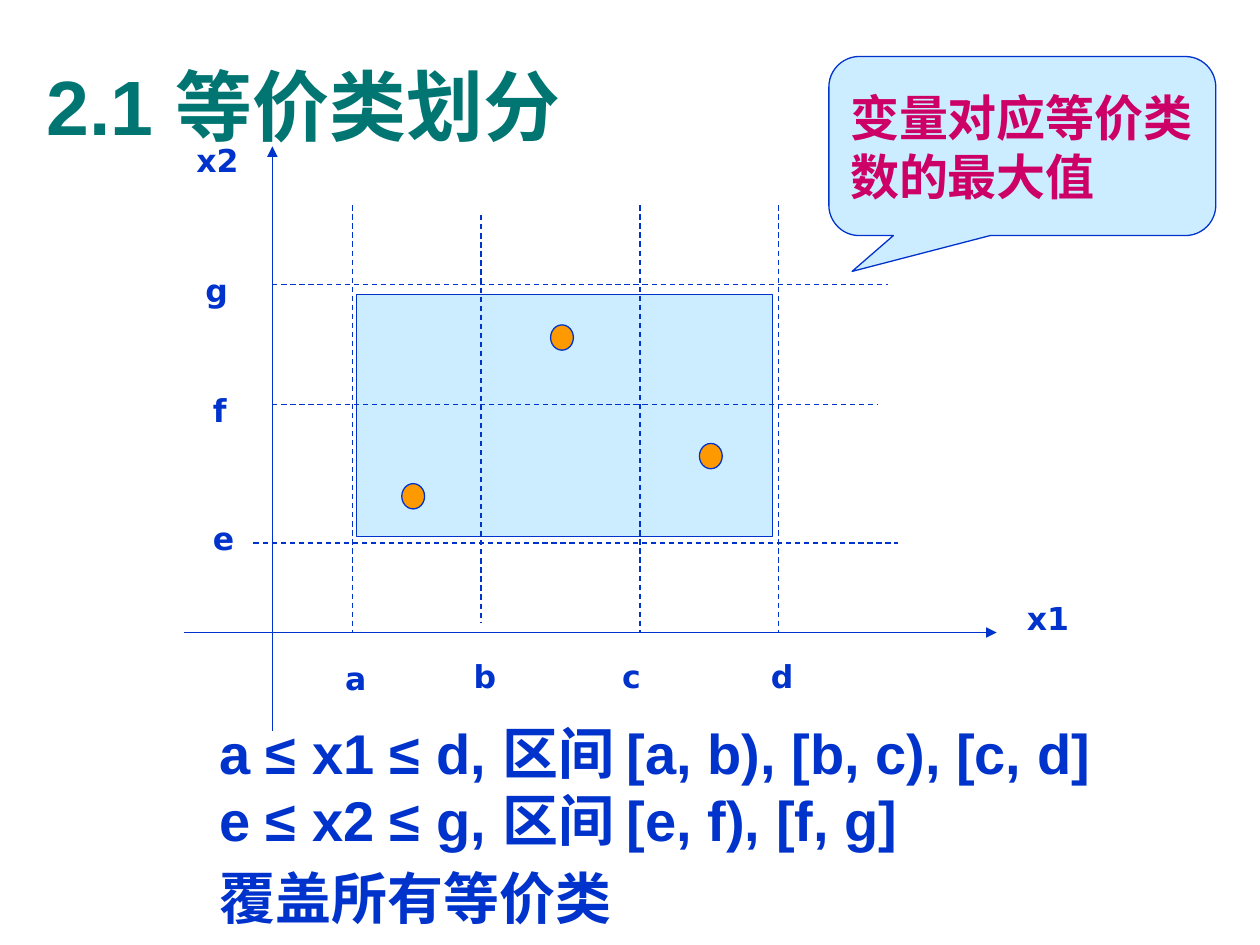
from lxml import etree
from pptx import Presentation
from pptx import util as u
from pptx.dml.color import RGBColor
from pptx.enum import dml, shapes, text
from pptx.oxml.ns import qn

BLUE = RGBColor(0x00, 0x33, 0xCC)
PALE_BLUE = RGBColor(0xCC, 0xEC, 0xFF)
ORANGE = RGBColor(0xFF, 0x99, 0x00)
TEAL = RGBColor(0x00, 0x75, 0x72)
MAGENTA = RGBColor(0xCC, 0x00, 0x66)

presentation = Presentation()
presentation.slide_width = u.Cm(25.4)
presentation.slide_height = u.Cm(19.05)
slide = presentation.slides.add_slide(presentation.slide_layouts[6])


def add_line(x1, y1, x2, y2, arrow=False):
    connector = slide.shapes.add_connector(
        shapes.MSO_CONNECTOR.STRAIGHT, u.Cm(x1), u.Cm(y1), u.Cm(x2), u.Cm(y2))
    connector.line.color.rgb = BLUE
    connector.line.width = u.Pt(0.75)
    if arrow:
        etree.SubElement(connector.line._ln, qn("a:tailEnd"), type="triangle")
    else:
        connector.line.dash_style = dml.MSO_LINE.DASH
    properties = connector._element.spPr
    etree.SubElement(properties, qn("a:effectLst"))


def write(shape, lines, size, color, font="Arial", wrap=True):
    frame = shape.text_frame
    frame.word_wrap = wrap
    for index, line in enumerate(lines):
        paragraph = frame.add_paragraph() if index else frame.paragraphs[0]
        paragraph.alignment = text.PP_ALIGN.LEFT
        run = paragraph.add_run()
        run.text = line
        run.font.name = font
        run.font.size = u.Pt(size)
        run.font.bold = True
        run.font.color.rgb = color
    return frame


add_line(3.71, 12.75, 20.09, 12.75, arrow=True)
add_line(5.49, 14.73, 5.49, 2.95, arrow=True)

for x in (7.11, 15.7):
    add_line(x, 4.14, x, 12.75)
for left, right, y in ((5.11, 18.11, 10.95), (5.49, 17.91, 5.74)):
    add_line(left, y, right, y)

RECTANGLE = shapes.MSO_SHAPE.RECTANGLE
OVAL = shapes.MSO_SHAPE.OVAL
CALLOUT = shapes.MSO_SHAPE.ROUNDED_RECTANGULAR_CALLOUT
filled_shapes = [
    (RECTANGLE, 7.19, 5.94, 8.38, 4.88, PALE_BLUE),
    (OVAL, 11.1, 6.55, 0.46, 0.51, ORANGE),
    (OVAL, 8.1, 9.75, 0.46, 0.51, ORANGE),
    (OVAL, 14.1, 8.94, 0.46, 0.51, ORANGE),
    (CALLOUT, 16.71, 1.14, 7.8, 3.61, PALE_BLUE),
]
for kind, left, top, width, height, color in filled_shapes:
    shape = slide.shapes.add_shape(
        kind, u.Cm(left), u.Cm(top), u.Cm(width), u.Cm(height))
    shape.shadow.inherit = False
    shape.fill.solid()
    shape.fill.fore_color.rgb = color
    shape.line.color.rgb = BLUE
    shape.line.width = u.Pt(0.75)
    if kind == CALLOUT:
        for index, value in enumerate((-0.44, 0.7, 0.17)):
            shape.adjustments[index] = value
        frame = write(shape, ["变量对应等价类", "数的最大值"], 28, MAGENTA, wrap=False)
        frame.vertical_anchor = text.MSO_ANCHOR.MIDDLE

add_line(9.7, 4.34, 9.7, 12.55)
add_line(12.9, 4.14, 12.9, 12.75)
add_line(5.49, 8.15, 17.7, 8.15)

labels = [
    ("x1", 20.45, 11.96), ("x2", 3.71, 2.72),
    ("a", 6.71, 13.16), ("b", 9.3, 13.13), ("c", 12.29, 13.13), ("d", 15.29, 13.13),
    ("e", 4.04, 10.34), ("f", 4.04, 7.75), ("g", 3.89, 5.33),
]
for name, left, top in labels:
    label = slide.shapes.add_textbox(u.Cm(left), u.Cm(top), u.Cm(1.85), u.Cm(1.02))
    write(label, [name], 18, BLUE, font="DejaVu Sans")

body = slide.shapes.add_textbox(u.Cm(4.17), u.Cm(14.35), u.Cm(18.75), u.Cm(2.18))
frame = write(body, [
    "a ≤ x1 ≤ d, 区间 [a, b), [b, c), [c, d]",
    "e ≤ x2 ≤ g, 区间 [e, f), [f, g]",
    "覆盖所有等价类",
], 32, BLUE)
frame.paragraphs[2].space_before = u.Pt(6.4)

title = slide.shapes.add_textbox(u.Cm(0.69), u.Cm(0.53), u.Cm(23.72), u.Cm(3.18))
frame = write(title, ["2.1 等价类划分"], 44, TEAL)
frame.vertical_anchor = text.MSO_ANCHOR.MIDDLE

presentation.save("out.pptx")
